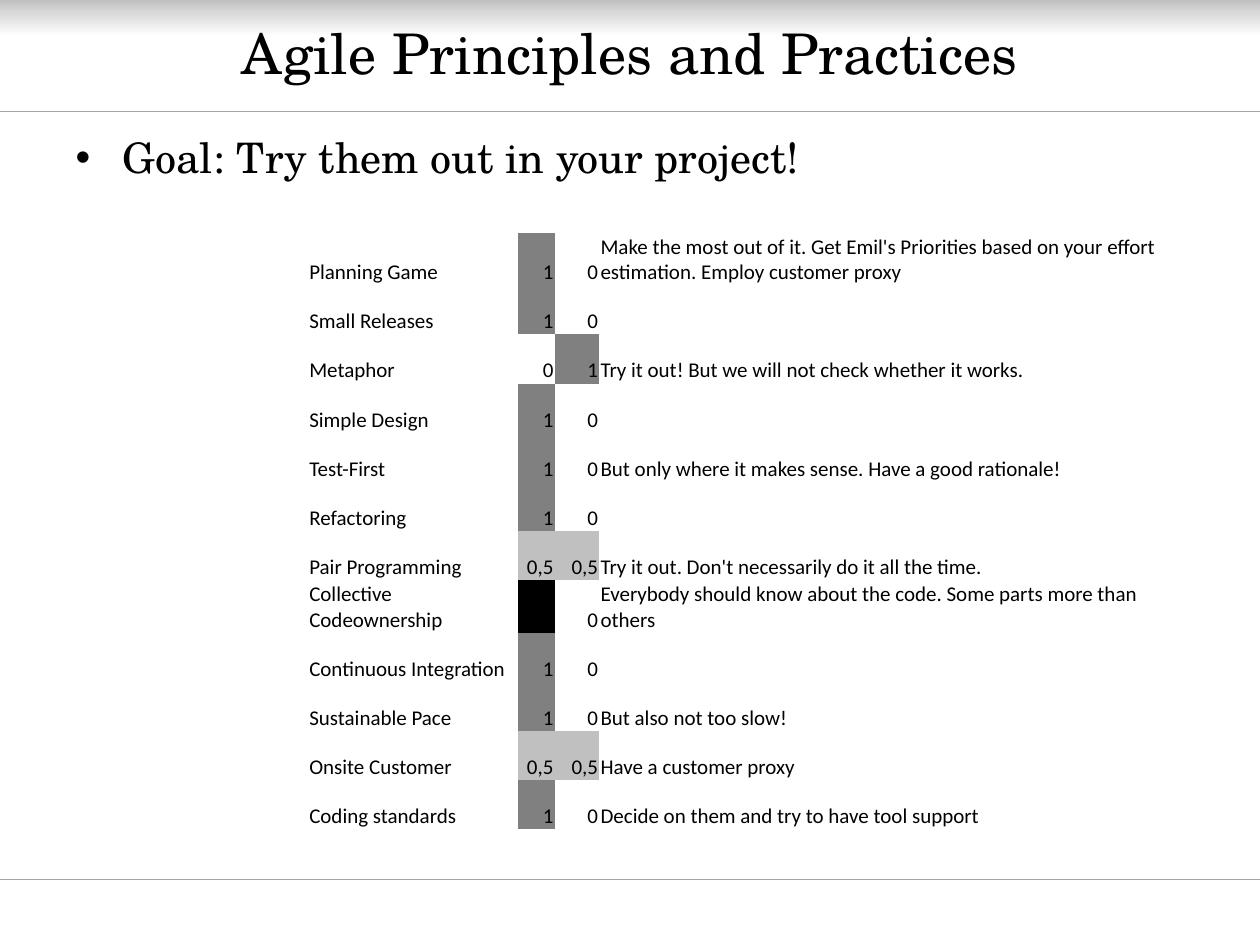
from copy import deepcopy

from lxml import etree
from pptx import Presentation
from pptx.dml.color import RGBColor
from pptx.enum.shapes import MSO_CONNECTOR, MSO_SHAPE
from pptx.enum.text import MSO_ANCHOR, MSO_AUTO_SIZE, PP_ALIGN
from pptx.oxml.ns import qn
from pptx.util import Pt

LEFT, CENTER, RIGHT = PP_ALIGN.LEFT, PP_ALIGN.CENTER, PP_ALIGN.RIGHT
TOP, MIDDLE, BOTTOM = MSO_ANCHOR.TOP, MSO_ANCHOR.MIDDLE, MSO_ANCHOR.BOTTOM
NO_AUTOFIT = MSO_AUTO_SIZE.NONE
RECTANGLE = MSO_SHAPE.RECTANGLE
STRAIGHT = MSO_CONNECTOR.STRAIGHT

BLACK = RGBColor(0x00, 0x00, 0x00)
GRAY = RGBColor(0x80, 0x80, 0x80)
RULE_GRAY = RGBColor(0xA6, 0xA6, 0xA6)
BAND_GRAY = RGBColor(0xBF, 0xBF, 0xBF)
SILVER = RGBColor(0xC0, 0xC0, 0xC0)
PALE_GRAY = RGBColor(0xD9, 0xD9, 0xD9)
WHITE = RGBColor(0xFF, 0xFF, 0xFF)

WIDTH, HEIGHT = 720, 540
PLAIN_TABLE_STYLE = "{2D5ABB26-0587-4C30-8999-92F81FD0307C}"
SCORE_FILLS = {"0": WHITE, "0,5": SILVER, "1": GRAY, "": BLACK}
COLUMN_WIDTHS = (120, 21, 25.5, 341)
ROW_HEIGHT = 28.1

PRACTICES = [
    ("Planning Game", "1", "0",
     "Make the most out of it. Get Emil's Priorities based on your effort "
     "estimation. Employ customer proxy"),
    ("Small Releases", "1", "0", ""),
    ("Metaphor", "0", "1", "Try it out! But we will not check whether it works."),
    ("Simple Design", "1", "0", ""),
    ("Test-First", "1", "0", "But only where it makes sense. Have a good rationale!"),
    ("Refactoring", "1", "0", ""),
    ("Pair Programming", "0,5", "0,5", "Try it out. Don't necessarily do it all the time."),
    ("Collective Codeownership", "", "0",
     "Everybody should know about the code. Some parts more than others"),
    ("Continuous Integration", "1", "0", ""),
    ("Sustainable Pace", "1", "0", "But also not too slow!"),
    ("Onsite Customer", "0,5", "0,5", "Have a customer proxy"),
    ("Coding standards", "1", "0", "Decide on them and try to have tool support"),
]


class SlideBuilder:
    heading_font = "TeX Gyre Schola"
    table_font = "Calibri"

    def __init__(self, slide):
        self.slide = slide

    def send_to_back(self, shape):
        self.slide.shapes._spTree.insert(2, shape._element)

    def format_font(self, font, name, size):
        font.name = name
        font.size = Pt(size)
        font.color.rgb = BLACK

    def gradient_band(self, height, stops):
        shape = self.slide.shapes.add_shape(RECTANGLE, 0, 0, Pt(WIDTH), Pt(height))
        shape.shadow.inherit = False
        shape.line.fill.background()
        shape.fill.gradient()
        shape.fill.gradient_angle = 270
        stop_list = shape._element.spPr.find(".//" + qn("a:gsLst"))
        stop_list.append(deepcopy(stop_list[0]))
        for stop, (position, color) in zip(shape.fill.gradient_stops, stops):
            stop.position = position
            stop.color.rgb = color
        self.send_to_back(shape)

    def rule(self, top):
        line = self.slide.shapes.add_connector(STRAIGHT, 0, Pt(top), Pt(WIDTH), Pt(top))
        line.line.color.rgb = RULE_GRAY
        line.line.width = Pt(0.75)
        etree.SubElement(line._element.spPr, qn("a:effectLst"))
        self.send_to_back(line)

    def placeholder(self, shape, text, box, size, alignment, anchor):
        shape.left, shape.top, shape.width, shape.height = map(Pt, box)
        frame = shape.text_frame
        frame.text = text
        frame.auto_size = NO_AUTOFIT
        frame.vertical_anchor = anchor
        paragraph = frame.paragraphs[0]
        paragraph.alignment = alignment
        paragraph.space_before = Pt(0)
        self.format_font(paragraph.runs[0].font, self.heading_font, size)
        return paragraph

    def title(self, text, box):
        self.placeholder(self.slide.shapes.title, text, box, 32, CENTER, MIDDLE)

    def bullet(self, text, box):
        paragraph = self.placeholder(self.slide.placeholders[1], text, box, 24, LEFT, TOP)
        properties = paragraph._p.get_or_add_pPr()
        properties.set("marL", str(Pt(27)))
        properties.set("indent", str(-Pt(27)))
        etree.SubElement(properties, qn("a:buChar"), char="•")

    def cell(self, cell, text, is_score):
        cell.margin_left = cell.margin_right = cell.margin_top = Pt(0.75)
        cell.margin_bottom = 0
        cell.vertical_anchor = BOTTOM
        cell.text_frame.text = text
        paragraph = cell.text_frame.paragraphs[0]
        paragraph.alignment = RIGHT if is_score else LEFT
        self.format_font(paragraph.font, self.table_font, 12)
        for run in paragraph.runs:
            self.format_font(run.font, self.table_font, 12)
        if is_score:
            cell.fill.solid()
            cell.fill.fore_color.rgb = SCORE_FILLS[text]
        else:
            cell.fill.background()

    def table(self, left, top, rows):
        frame = self.slide.shapes.add_table(
            len(rows), len(COLUMN_WIDTHS), Pt(left), Pt(top),
            Pt(sum(COLUMN_WIDTHS)), Pt(ROW_HEIGHT * len(rows)))
        table = frame.table
        table.first_row = table.horz_banding = False
        table._tbl.tblPr.find(qn("a:tableStyleId")).text = PLAIN_TABLE_STYLE
        for column, width in zip(table.columns, COLUMN_WIDTHS):
            column.width = Pt(width)
        for row, values in zip(table.rows, rows):
            row.height = Pt(ROW_HEIGHT)
            for index, (cell, text) in enumerate(zip(row.cells, values)):
                self.cell(cell, text, index in (1, 2))


def main():
    presentation = Presentation()
    presentation.slide_width, presentation.slide_height = Pt(WIDTH), Pt(HEIGHT)
    builder = SlideBuilder(presentation.slides.add_slide(presentation.slide_layouts[1]))
    builder.rule(63.75)
    builder.rule(502.5)
    builder.gradient_band(21, [(0, BAND_GRAY), (0.34, PALE_GRAY), (1, WHITE)])
    builder.title("Agile Principles and Practices", (36, 2, 648, 55.5))
    builder.bullet("Goal: Try them out in your project!", (36, 71.5, 648, 420))
    builder.table(176, 133, PRACTICES)
    presentation.save("out.pptx")


if __name__ == "__main__":
    main()
